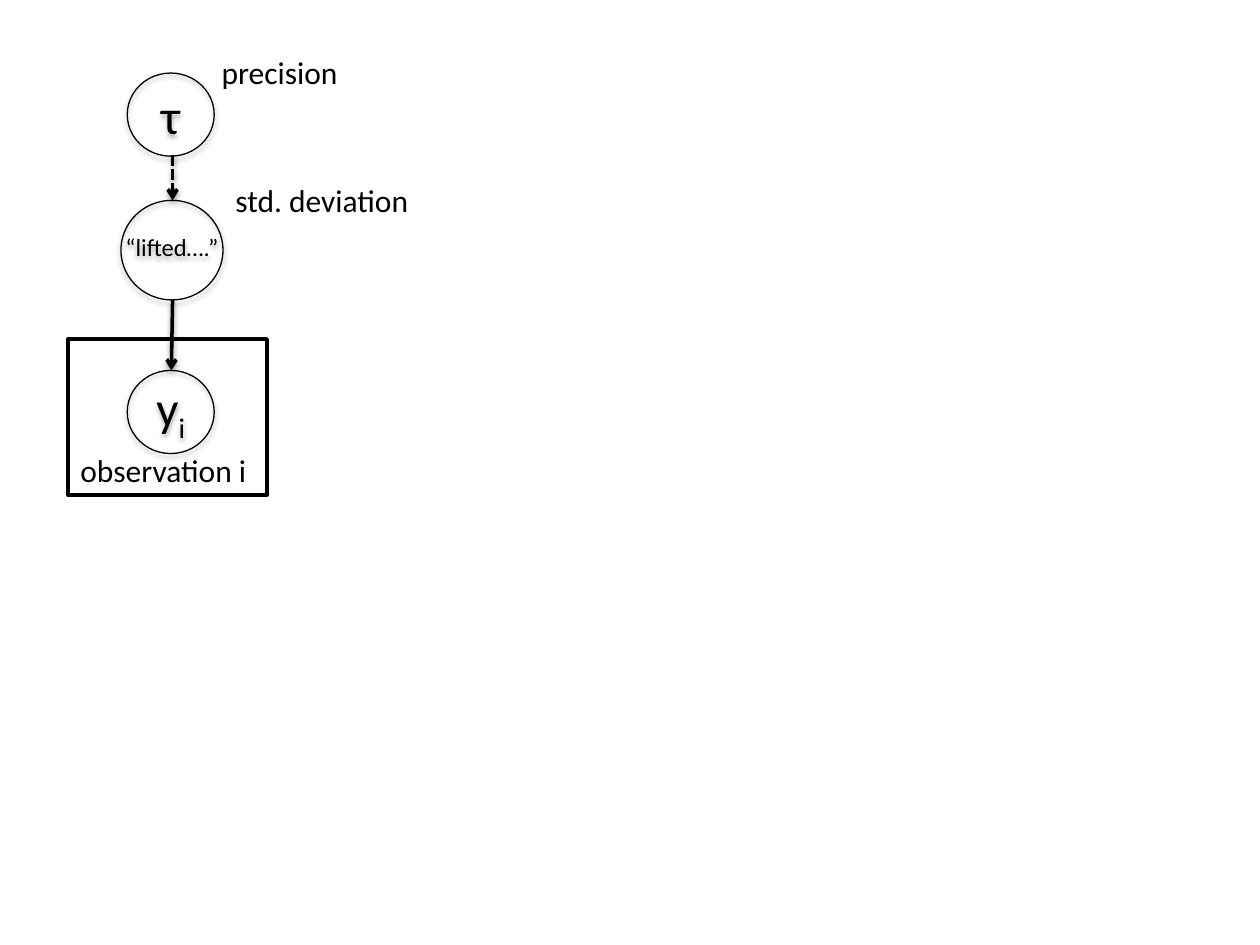
"""Draw a graphical model: precision, lifted deviation and a plate of observations."""
from dataclasses import dataclass

from lxml.etree import SubElement as Sub
from pptx import Presentation
from pptx.dml.color import RGBColor as Rgb
from pptx.enum.dml import MSO_LINE_DASH_STYLE as Dash
from pptx.enum.shapes import MSO_CONNECTOR as Link, MSO_SHAPE as Form
from pptx.enum.text import MSO_ANCHOR as Anchor, PP_ALIGN as Align
from pptx.oxml.ns import qn
from pptx.util import Inches, Pt


@dataclass(frozen=True)
class Theme:
    ink: Rgb = Rgb(0, 0, 0)
    paper: Rgb = Rgb(255, 255, 255)
    face: str = "Calibri"
    symbol: int = 28
    label: int = 18
    small: int = 14
    thin: float = 0.75
    thick: float = 2


theme = Theme()
deck = Presentation()
deck.slide_width, deck.slide_height = Inches(10), Inches(7.5)
slide = deck.slides.add_slide(deck.slide_layouts[6])
shapes = slide.shapes
col, row = deck.slide_width / 100, deck.slide_height / 75


def grid(x, y, *size):
    """Turn columns and rows into slide lengths."""
    return [int(n * unit) for n, unit in zip((x, y, *size), (col, row) * 2)]


def finish(item, width, dist, alpha):
    """Give an item its black line and soft shadow."""
    item.line.color.rgb = theme.ink
    item.line.width = Pt(width)
    glow = Sub(Sub(item._element.spPr, qn("a:effectLst")), qn("a:outerShdw"),
               blurRad=str(Pt(3.1)), dist=str(Pt(dist)), dir="5400000", rotWithShape="0")
    Sub(Sub(glow, qn("a:srgbClr"), val=str(theme.ink)), qn("a:alpha"), val=str(alpha * 1000))


plate = shapes.add_shape(Form.RECTANGLE, *grid(5.4, 26.9, 15.8, 12.4))
plate.shadow.inherit = False
plate.fill.solid()
plate.fill.fore_color.rgb = theme.paper
plate.line.color.rgb = theme.ink
plate.line.width = Pt(theme.thick)

nodes = [
    ("“lifted….”", "", (9.6, 15.9, 8.1, 7.9), theme.small, 0.7),
    ("τ", "", (10.1, 5.8, 6.9, 6.6), theme.symbol, 1),
    ("y", "i", (10.1, 29.4, 6.9, 6.6), theme.symbol, 0.7),
]
for text, sub, place, size, space in nodes:
    node = shapes.add_shape(Form.OVAL, *grid(*place))
    node.fill.background()
    finish(node, theme.thin, 1.8, 35)
    frame = node.text_frame
    frame.word_wrap = False
    frame.vertical_anchor = Anchor.MIDDLE
    frame.margin_left = frame.margin_right = 0
    para = frame.paragraphs[0]
    para.alignment, para.line_spacing = Align.CENTER, space
    para.font.name, para.font.size = theme.face, Pt(size)
    para.font.color.rgb = theme.ink
    para.add_run().text = text
    if sub:
        run = para.add_run()
        run.text = sub
        run.font._element.set("baseline", "-25000")

arrows = [
    ((13.7, 12.3), (13.7, 15.9), Dash.SQUARE_DOT),
    ((13.7, 23.8), (13.6, 29.4), Dash.SOLID),
]
for start, end, dash in arrows:
    arrow = shapes.add_connector(Link.STRAIGHT, *grid(*start), *grid(*end))
    finish(arrow, theme.thick, 1.6, 38)
    arrow.line.dash_style = dash
    Sub(arrow.line._get_or_add_ln(), qn("a:tailEnd"), type="arrow")

labels = [
    ("observation i", 5.4, 35.3, 18.6),
    ("precision", 16.6, 3.7, 13.5),
    ("std. deviation", 17.7, 13.9, 15.8),
]
for text, x, y, width in labels:
    frame = shapes.add_textbox(*grid(x, y, width, 4)).text_frame
    frame.word_wrap = True
    para = frame.paragraphs[0]
    para.text = text
    para.font.name, para.font.size = theme.face, Pt(theme.label)
    para.font.color.rgb = theme.ink

deck.save("out.pptx")
